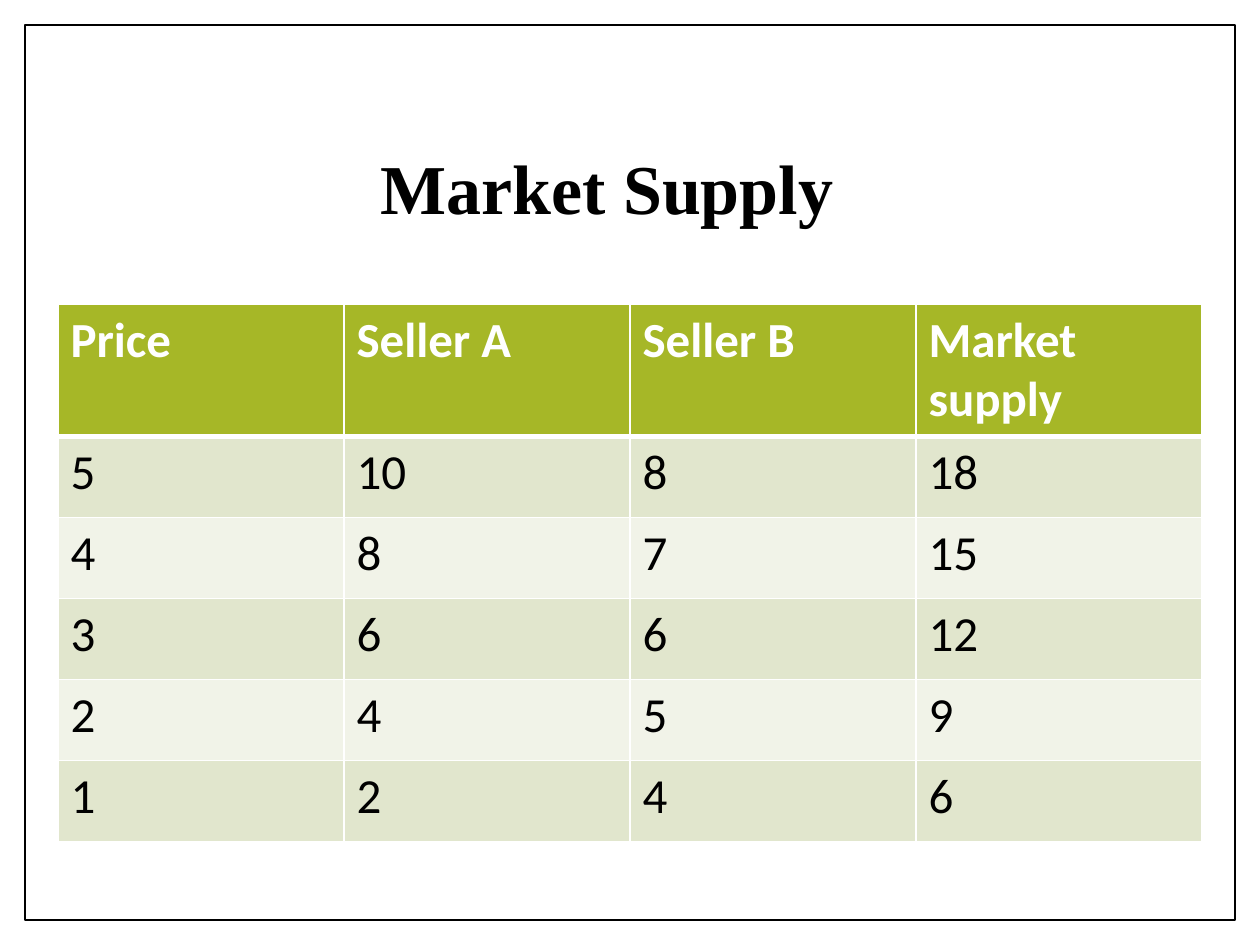
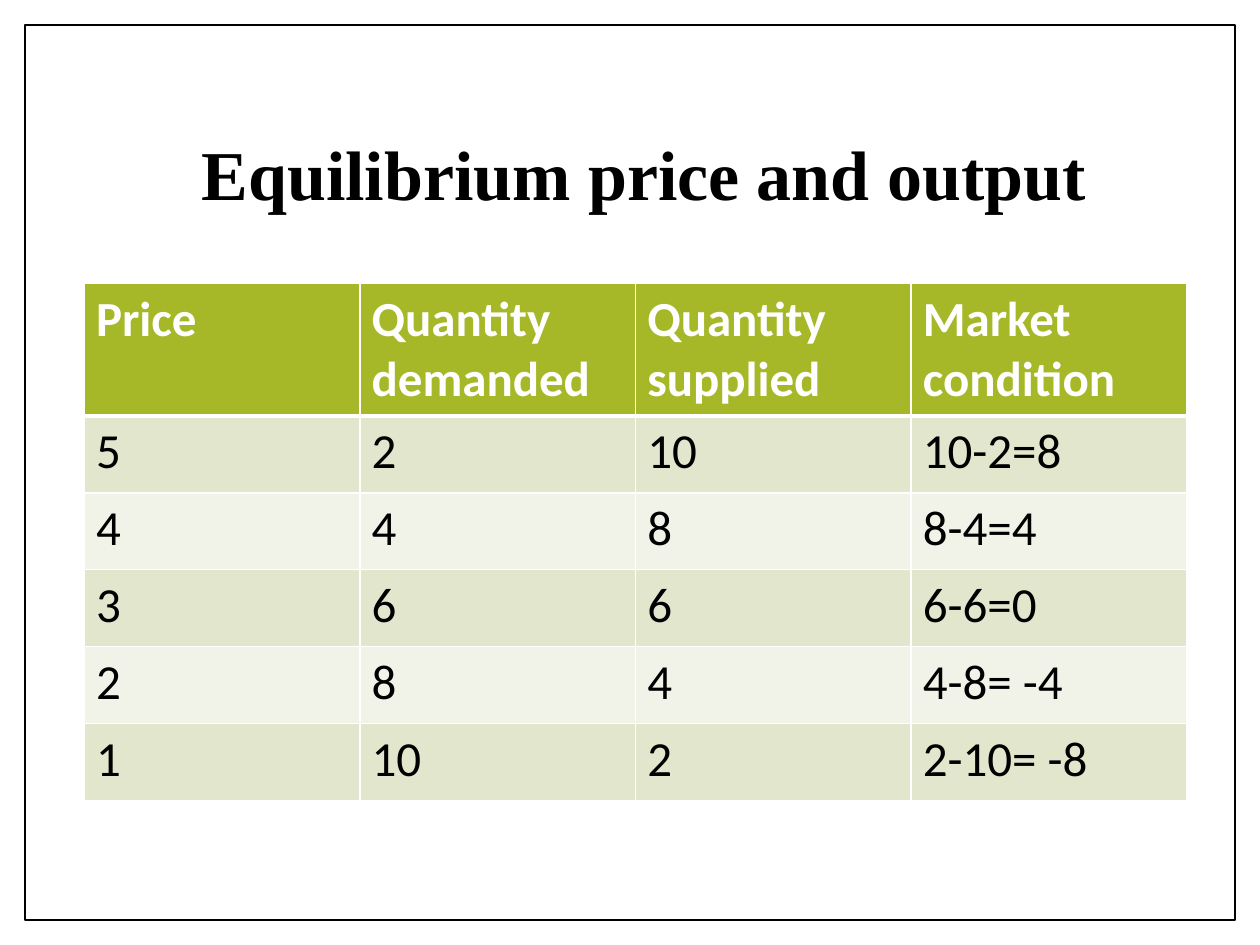
"""Build two slides with tables on market supply and equilibrium price."""
from lxml.etree import SubElement
from pptx import Presentation
from pptx.dml.color import RGBColor as Rgb
from pptx.enum.shapes import MSO_SHAPE as Shape
from pptx.enum.text import MSO_ANCHOR as Anchor, MSO_AUTO_SIZE as AutoSize, PP_ALIGN as Align
from pptx.oxml import parse_xml
from pptx.oxml.ns import nsdecls, qn
from pptx.util import Pt

COLORS = {
    "paper": "FFFFFF",
    "ink": "000000",
    "header": "A6B727",
    "odd": "E1E6CD",
    "even": "F1F3E8",
}
FORMATS = {
    "title": {"name": "Times New Roman", "size": Pt(40), "bold": True},
    "header": {"name": "Calibri", "size": Pt(28), "bold": True},
    "body": {"name": "Calibri", "size": Pt(28), "bold": False},
}
SLIDE_WIDTH, SLIDE_HEIGHT, FRAME_MARGIN = 720, 540, 14.4
GRID_LINE, HEADER_LINE = 1, 3

SUPPLY = [
    ("Price", "Seller A", "Seller B", "Market supply"),
    ("5", "10", "8", "18"),
    ("4", "8", "7", "15"),
    ("3", "6", "6", "12"),
    ("2", "4", "5", "9"),
    ("1", "2", "4", "6"),
]
EQUILIBRIUM = [
    ("Price", "Quantity demanded", "Quantity supplied", "Market condition"),
    ("5", "2", "10", "10-2=8"),
    ("4", "4", "8", "8-4=4"),
    ("3", "6", "6", "6-6=0"),
    ("2", "8", "4", "4-8= -4"),
    ("1", "10", "2", "2-10= -8"),
]


class Deck:
    """Hold the shared style and the current slide."""

    def __init__(self):
        self.show = Presentation()
        self.show.slide_width = Pt(SLIDE_WIDTH)
        self.show.slide_height = Pt(SLIDE_HEIGHT)
        self.slide = None

    def color(self, key):
        return Rgb.from_string(COLORS[key])

    def style(self, font, kind, color):
        for attribute, value in FORMATS[kind].items():
            setattr(font, attribute, value)
        font.color.rgb = self.color(color)

    def new_slide(self):
        self.slide = self.show.slides.add_slide(self.show.slide_layouts[5])
        self.frame()

    def frame(self):
        frame = self.slide.shapes.add_shape(
            Shape.RECTANGLE, Pt(FRAME_MARGIN), Pt(FRAME_MARGIN),
            Pt(SLIDE_WIDTH - 2 * FRAME_MARGIN), Pt(SLIDE_HEIGHT - 2 * FRAME_MARGIN))
        frame.shadow.inherit = False
        frame.fill.solid()
        frame.fill.fore_color.rgb = self.color("paper")
        frame.line.color.rgb = self.color("ink")
        frame.line.width = Pt(1)
        self.slide.shapes.title._element.addprevious(frame._element)

    def title(self, text, left, top, width, height):
        title = self.slide.shapes.title
        title.left, title.top, title.width, title.height = map(Pt, (left, top, width, height))
        title.text_frame.text = text
        title.text_frame.auto_size = AutoSize.NONE
        title.text_frame.vertical_anchor = Anchor.MIDDLE
        paragraph = title.text_frame.paragraphs[0]
        paragraph.alignment = Align.LEFT
        paragraph.line_spacing = 0.9
        self.style(paragraph.font, "title", "ink")

    def table(self, rows, left, top, width, row_height, inset):
        table = self.slide.shapes.add_table(
            len(rows), len(rows[0]), Pt(left), Pt(top),
            Pt(width), Pt(row_height * len(rows))).table
        for row_index, row in enumerate(rows):
            for column_index, text in enumerate(row):
                cell = table.cell(row_index, column_index)
                cell.margin_left = cell.margin_right = Pt(inset)
                self.cell(cell, text, row_index)

    def cell(self, cell, text, row_index):
        is_header = row_index == 0
        band = "header" if is_header else "odd" if row_index % 2 else "even"
        cell.text = text
        cell.fill.solid()
        cell.fill.fore_color.rgb = self.color(band)
        self.style(cell.text_frame.paragraphs[0].font,
                   "header" if is_header else "body", "paper" if is_header else "ink")
        widths = {
            "lnL": GRID_LINE,
            "lnR": GRID_LINE,
            "lnT": HEADER_LINE if row_index == 1 else GRID_LINE,
            "lnB": HEADER_LINE if is_header else GRID_LINE,
        }
        for position, (side, width) in enumerate(widths.items()):
            border = parse_xml(f'<a:{side} {nsdecls("a")} w="{Pt(width)}"/>')
            fill = SubElement(border, qn("a:solidFill"))
            SubElement(fill, qn("a:srgbClr"), val=COLORS["paper"])
            cell._tc.get_or_add_tcPr().insert(position, border)


def main():
    deck = Deck()

    deck.new_slide()
    deck.title("Market Supply", 210.2, 75.6, 383.8, 67.7)
    deck.table(SUPPLY, 33.1, 173.8, 653.8, 46.3, 7.2)

    deck.new_slide()
    deck.title("Equilibrium price and output", 108, 48.2, 542.9, 106.6)
    deck.table(EQUILIBRIUM, 48.2, 162, 630, 43.95, 6.7)

    deck.show.save("out.pptx")


if __name__ == "__main__":
    main()
